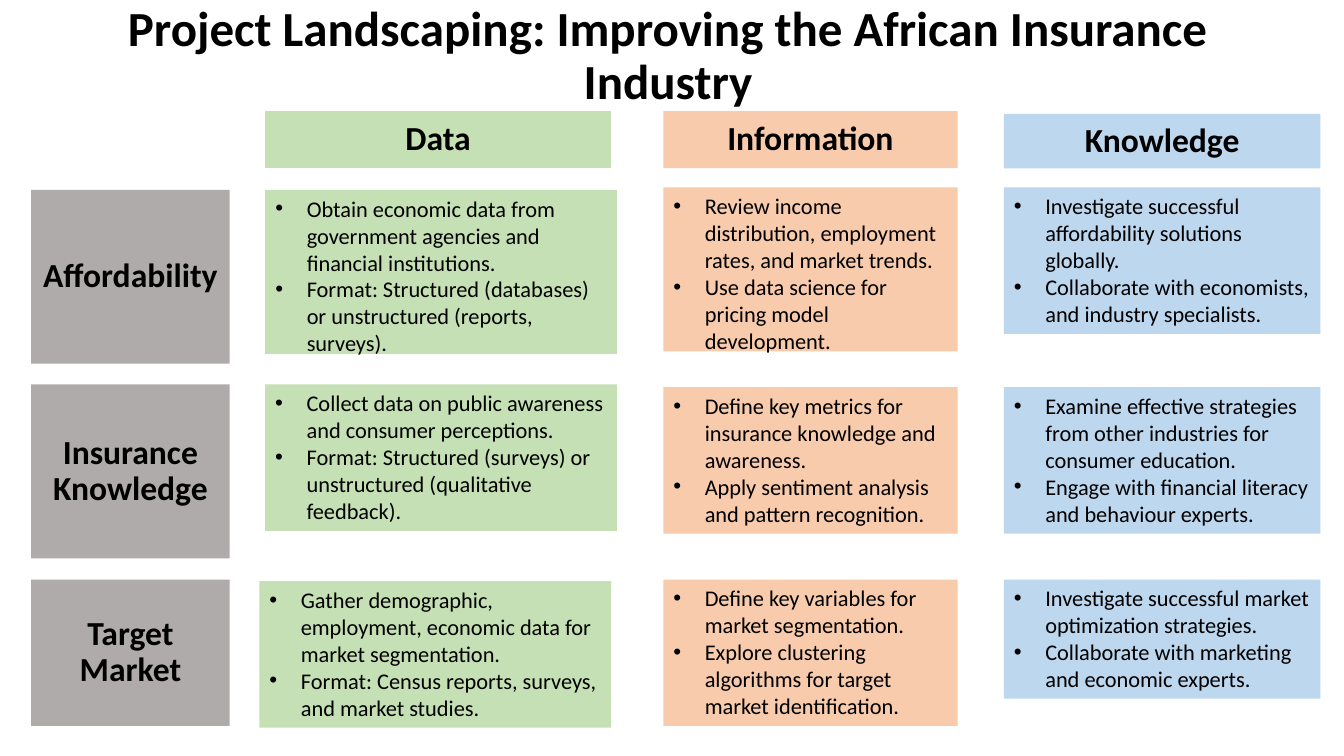
from dataclasses import dataclass
from typing import Optional

from lxml import etree
from pptx import Presentation
from pptx.dml.color import RGBColor
from pptx.enum.shapes import MSO_SHAPE
from pptx.enum.text import MSO_ANCHOR, MSO_AUTO_SIZE, PP_ALIGN
from pptx.oxml.ns import qn
from pptx.util import Pt

RECTANGLE = MSO_SHAPE.RECTANGLE
TOP, MIDDLE = MSO_ANCHOR.TOP, MSO_ANCHOR.MIDDLE
LEFT, CENTER = PP_ALIGN.LEFT, PP_ALIGN.CENTER
NO_FIT, GROW = MSO_AUTO_SIZE.NONE, MSO_AUTO_SIZE.SHAPE_TO_FIT_TEXT
COMPARISON_LAYOUT = 3 + 1


@dataclass(frozen=True)
class Theme:
    font: str = "Calibri"
    text: str = "000000"
    label: str = "AFABAB"
    data: str = "C5E0B4"
    information: str = "F8CBAD"
    knowledge: str = "BDD7EE"
    title_size: float = 35
    heading_size: float = 24
    body_size: float = 16
    bullet_indent: float = 22.5


@dataclass(frozen=True)
class Box:
    left: float
    top: float
    width: float
    height: float


@dataclass(frozen=True)
class Cell:
    box: Box
    bullets: tuple[str, str]
    placeholder: Optional[int] = None


@dataclass(frozen=True)
class Column:
    heading: str
    color: str
    box: Box
    cells: tuple[Cell, ...]
    placeholder: Optional[int] = None


@dataclass(frozen=True)
class RowLabel:
    text: str
    top: float
    height: float


THEME = Theme()
TITLE_BOX = Box(22.3, 16.6, 910, 48.2)
LABEL_LEFT, LABEL_WIDTH = 22.3, 141.8
TALL, MEDIUM, SHORT = 124.2, 104.6, 85.1
DATA_LEFT, DATA_WIDTH = 189.4, 251.3
INFORMATION_LEFT, INFORMATION_WIDTH = 473.8, 210.2
KNOWLEDGE_LEFT, KNOWLEDGE_WIDTH = 717.1, 226.1

ROW_LABELS = (
    RowLabel("Affordability", 135.6, TALL),
    RowLabel("Insurance Knowledge", 274.6, TALL),
    RowLabel("Target Market", 414, MEDIUM),
)

COLUMNS = (
    Column("Data", THEME.data, Box(DATA_LEFT, 79.4, 247, 40.5), (
        Cell(Box(DATA_LEFT, 135.6, DATA_WIDTH, TALL), (
            "Obtain economic data from government agencies and financial institutions.",
            "Format: Structured (databases) or unstructured (reports, surveys)."), 2),
        Cell(Box(DATA_LEFT, 274.6, DATA_WIDTH, MEDIUM), (
            "Collect data on public awareness and consumer perceptions.",
            "Format: Structured (surveys) or unstructured (qualitative feedback).")),
        Cell(Box(185.3, 415.2, DATA_WIDTH, MEDIUM), (
            "Gather demographic, employment, economic data for market segmentation.",
            "Format: Census reports, surveys, and market studies.")),
    ), 1),
    Column("Information", THEME.information,
           Box(INFORMATION_LEFT, 79.4, INFORMATION_WIDTH, 40.8), (
        Cell(Box(INFORMATION_LEFT, 133.9, INFORMATION_WIDTH, TALL), (
            "Review income distribution, employment rates, and market trends.",
            "Use data science for pricing model development."), 4),
        Cell(Box(INFORMATION_LEFT, 276.6, INFORMATION_WIDTH, MEDIUM), (
            "Define key metrics for insurance knowledge and awareness.",
            "Apply sentiment analysis and pattern recognition.")),
        Cell(Box(INFORMATION_LEFT, 414, INFORMATION_WIDTH, MEDIUM), (
            "Define key variables for market segmentation.",
            "Explore clustering algorithms for target market identification.")),
    ), 3),
    Column("Knowledge", THEME.knowledge,
           Box(KNOWLEDGE_LEFT, 81.4, KNOWLEDGE_WIDTH, 38.9), (
        Cell(Box(KNOWLEDGE_LEFT, 133.9, KNOWLEDGE_WIDTH, MEDIUM), (
            "Investigate successful affordability solutions globally.",
            "Collaborate with economists, and industry specialists.")),
        Cell(Box(KNOWLEDGE_LEFT, 276.6, KNOWLEDGE_WIDTH, MEDIUM), (
            "Examine effective strategies from other industries for consumer education.",
            "Engage with financial literacy and behaviour experts.")),
        Cell(Box(KNOWLEDGE_LEFT, 414, KNOWLEDGE_WIDTH, SHORT), (
            "Investigate successful market optimization strategies.",
            "Collaborate with marketing and economic experts.")),
    )),
)


def add_bullet(paragraph) -> None:
    properties = paragraph._p.get_or_add_pPr()
    properties.set("marL", str(Pt(THEME.bullet_indent)))
    properties.set("indent", str(-Pt(THEME.bullet_indent)))
    etree.SubElement(properties, qn("a:buFont")).set("typeface", "Arial")
    etree.SubElement(properties, qn("a:buChar")).set("char", "•")


def write_text(shape, *texts: str, size: float, bold: bool = False, bullets: bool = False,
               align=CENTER, anchor=MIDDLE, line_spacing: float = 0.9, fit=NO_FIT) -> None:
    frame = shape.text_frame
    frame.word_wrap = True
    frame.auto_size = fit
    frame.vertical_anchor = anchor
    for index, text in enumerate(texts):
        paragraph = frame.add_paragraph() if index else frame.paragraphs[0]
        paragraph.alignment = align
        paragraph.line_spacing = line_spacing
        paragraph.space_before = Pt(0)
        if bullets:
            add_bullet(paragraph)
        run = paragraph.add_run()
        run.text = text
        run.font.name = THEME.font
        run.font.size = Pt(size)
        run.font.bold = bold
        run.font.color.rgb = RGBColor.from_string(THEME.text)


def place(shape, box: Box) -> None:
    shape.left, shape.top = Pt(box.left), Pt(box.top)
    shape.width, shape.height = Pt(box.width), Pt(box.height)


def make_panel(slide, box: Box, color: str, placeholder: Optional[int] = None):
    if placeholder is None:
        shape = slide.shapes.add_shape(RECTANGLE, 0, 0, 0, 0)
        shape.shadow.inherit = False
    else:
        shape = next(item for item in slide.placeholders
                     if item.placeholder_format.idx == placeholder)
    place(shape, box)
    shape.fill.solid()
    shape.fill.fore_color.rgb = RGBColor.from_string(color)
    shape.line.fill.background()
    return shape


def draw_column(slide, column: Column) -> None:
    heading = make_panel(slide, column.box, column.color, column.placeholder)
    write_text(heading, column.heading, size=THEME.heading_size, bold=True)
    for cell in column.cells:
        panel = make_panel(slide, cell.box, column.color, cell.placeholder)
        write_text(panel, *cell.bullets, size=THEME.body_size, bullets=True,
                   align=LEFT, anchor=TOP, line_spacing=1.0, fit=GROW)


def draw_row_label(slide, label: RowLabel) -> None:
    box = Box(LABEL_LEFT, label.top, LABEL_WIDTH, label.height)
    panel = make_panel(slide, box, THEME.label)
    write_text(panel, label.text, size=THEME.heading_size, bold=True)


def main() -> None:
    presentation = Presentation()
    presentation.slide_width, presentation.slide_height = Pt(960), Pt(540)
    slide = presentation.slides.add_slide(presentation.slide_layouts[COMPARISON_LAYOUT])
    title = slide.shapes.title
    place(title, TITLE_BOX)
    write_text(title, "Project Landscaping: Improving the African Insurance Industry",
               size=THEME.title_size, bold=True)
    for label in ROW_LABELS:
        draw_row_label(slide, label)
    for column in COLUMNS:
        draw_column(slide, column)
    presentation.save("out.pptx")


if __name__ == "__main__":
    main()
